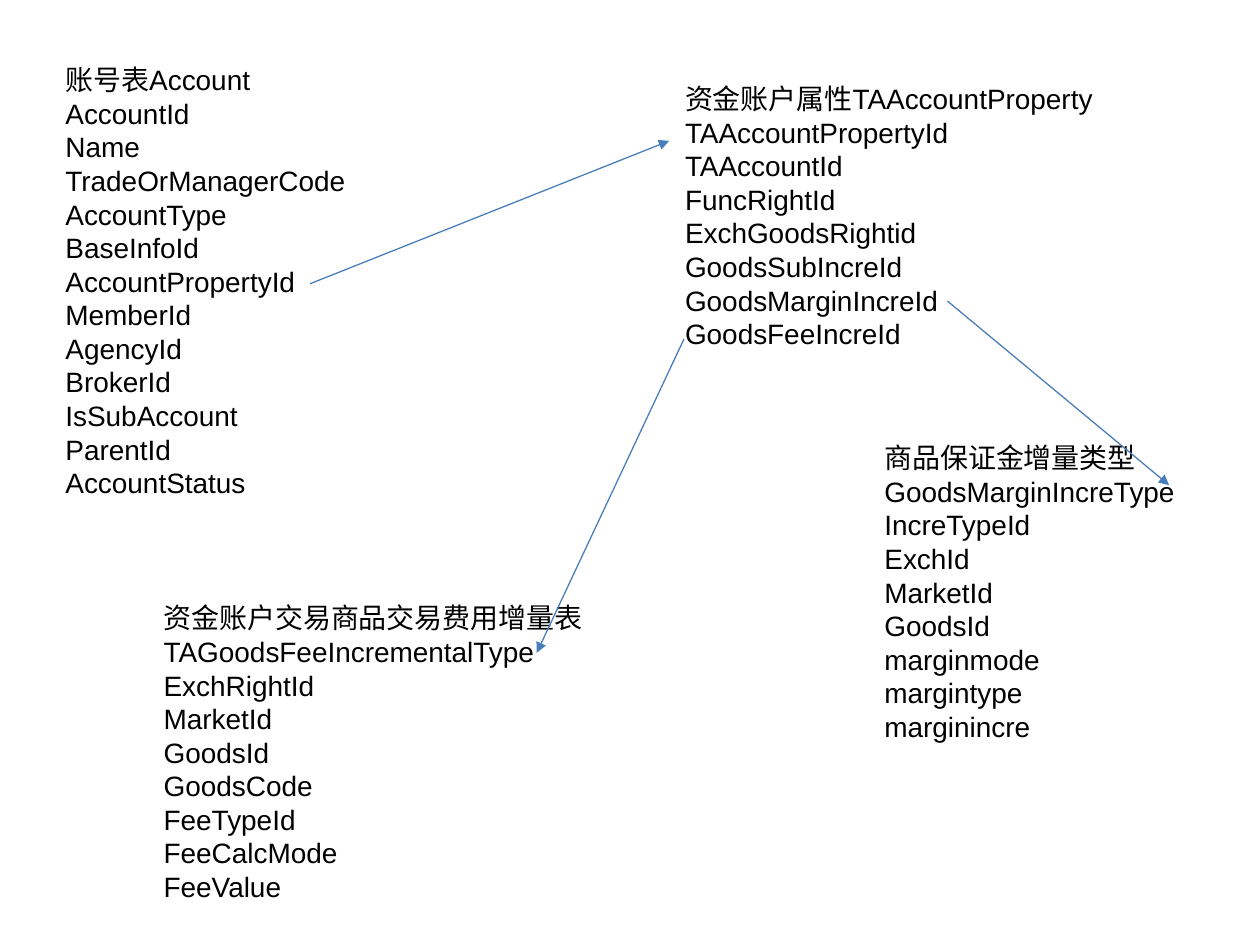
"""Build a slide of account tables and the references between them."""
from lxml.etree import SubElement
from pptx import Presentation
from pptx.dml.color import RGBColor
from pptx.enum.shapes import MSO_CONNECTOR as Connector
from pptx.enum.text import MSO_AUTO_SIZE as AutoSize, MSO_ANCHOR as Anchor
from pptx.oxml.ns import qn
from pptx.util import Cm, Pt

TABLES = [
    ("账号表Account", (1.07, 1.14, 6.35, 9.07),
     ["AccountId", "Name", "TradeOrManagerCode", "AccountType", "BaseInfoId",
      "AccountPropertyId", "MemberId", "AgencyId", "BrokerId", "IsSubAccount",
      "ParentId", "AccountStatus"]),
    ("资金账户属性TAAccountProperty", (13.56, 1.52, 9.02, 5.69),
     ["TAAccountPropertyId", "TAAccountId", "FuncRightId", "ExchGoodsRightid",
      "GoodsSubIncreId", "GoodsMarginIncreId", "GoodsFeeIncreId"]),
    ("商品保证金增量类型GoodsMarginIncreType", (17.58, 8.76, 6.73, 6.35),
     ["IncreTypeId", "ExchId", "MarketId", "GoodsId", "marginmode",
      "margintype", "marginincre"]),
    ("资金账户交易商品交易费用增量表 TAGoodsFeeIncrementalType",
     (3.05, 11.99, 9.37, 6.35),
     ["ExchRightId", "MarketId", "GoodsId", "GoodsCode", "FeeTypeId",
      "FeeCalcMode", "FeeValue"]),
]
REFERENCES = [
    (6.25, 5.72, 13.49, 2.84),
    (19.1, 6.07, 23.57, 9.78),
    (13.79, 6.83, 10.82, 13.16),
]
FRAME_FORMAT = {"word_wrap": True, "auto_size": AutoSize.SHAPE_TO_FIT_TEXT,
                "vertical_anchor": Anchor.TOP}
FONT_FORMAT = {"name": "Arial", "size": Pt(16)}


def paint(color, value):
    color.rgb = RGBColor.from_string(value)


def apply(target, settings):
    for key, value in settings.items():
        setattr(target, key, value)


def add_entity(slide, title, place, fields):
    frame = slide.shapes.add_textbox(*map(Cm, place)).text_frame
    apply(frame, FRAME_FORMAT)
    frame.text = "\n".join([title, *fields])
    for row in frame.paragraphs:
        font = row.runs[0].font
        apply(font, FONT_FORMAT)
        paint(font.color, "000000")


def add_reference(slide, ends):
    arrow = slide.shapes.add_connector(Connector.STRAIGHT, *map(Cm, ends))
    arrow.line.width = Pt(0.75)
    paint(arrow.line.color, "4A7EBB")
    SubElement(arrow.line._get_or_add_ln(), qn("a:tailEnd"), type="triangle")
    SubElement(arrow._element.spPr, qn("a:effectLst"))


def main():
    deck = Presentation()
    apply(deck, {"slide_width": Cm(25.4), "slide_height": Cm(19.05)})
    slide = deck.slides.add_slide(deck.slide_layouts[6])
    for title, place, fields in TABLES:
        add_entity(slide, title, place, fields)
    for ends in REFERENCES:
        add_reference(slide, ends)
    deck.save("out.pptx")


if __name__ == "__main__":
    main()
